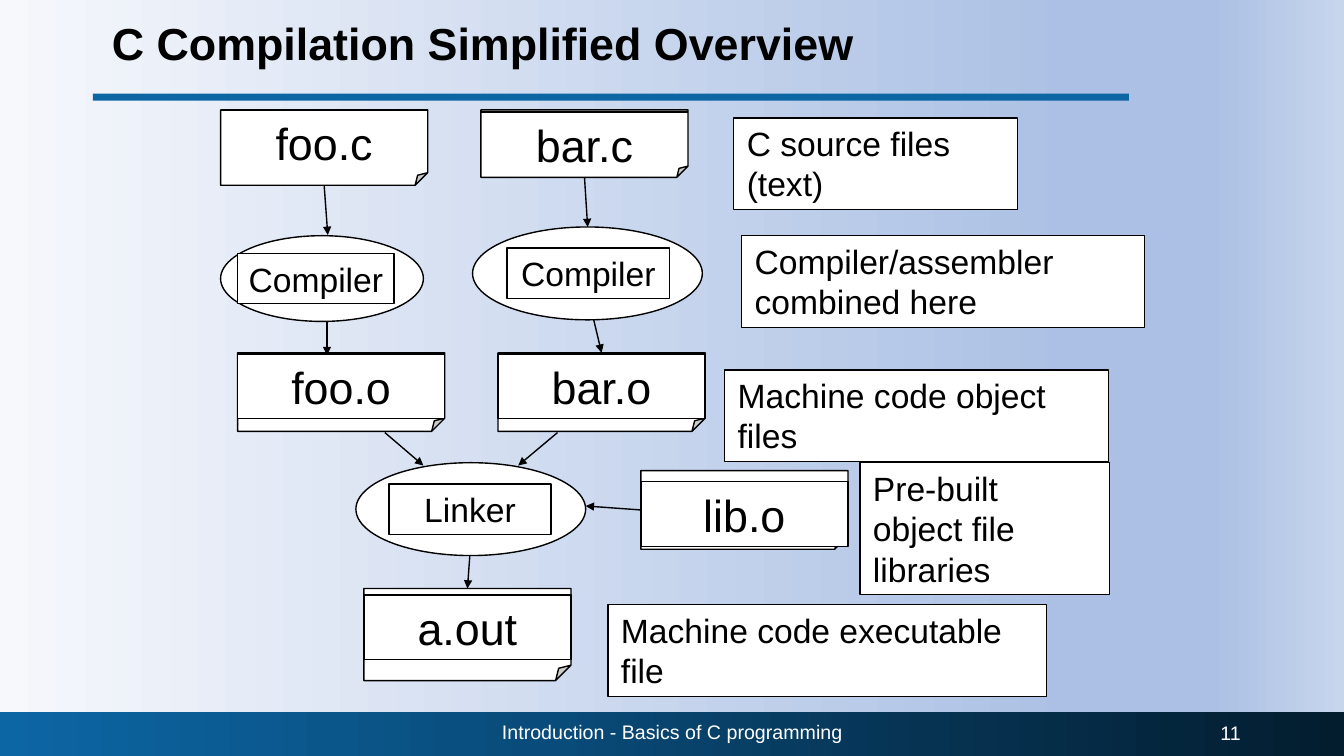
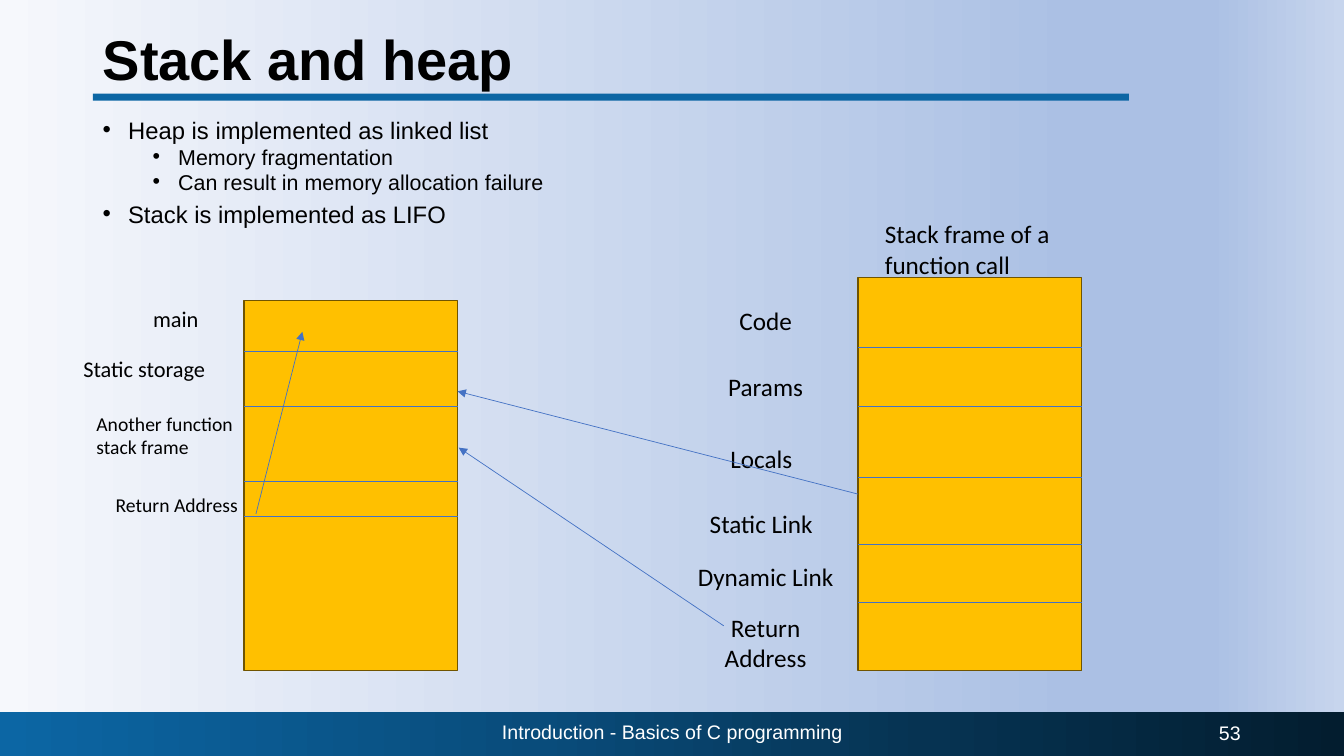
from lxml.etree import SubElement
from pptx import Presentation
from pptx.dml.color import RGBColor
from pptx.enum.shapes import MSO_CONNECTOR, MSO_SHAPE
from pptx.enum.text import MSO_ANCHOR, PP_ALIGN
from pptx.oxml.ns import qn
from pptx.util import Cm, Pt

RECTANGLE, ELLIPSE = MSO_SHAPE.RECTANGLE, MSO_SHAPE.OVAL
DOCUMENT = MSO_SHAPE.FOLDED_CORNER
STRAIGHT = MSO_CONNECTOR.STRAIGHT
LEFT, CENTER, RIGHT = PP_ALIGN.LEFT, PP_ALIGN.CENTER, PP_ALIGN.RIGHT
ANCHOR_TOP, MIDDLE = MSO_ANCHOR.TOP, MSO_ANCHOR.MIDDLE
SIDE_TOP, SIDE_LEFT, SIDE_BOTTOM = 0, 1, 2

BLACK = RGBColor(0x00, 0x00, 0x00)
WHITE = RGBColor(0xFF, 0xFF, 0xFF)
ACCENT = RGBColor(0x0C, 0x66, 0xA4)
AMBER = RGBColor(0xFF, 0xC0, 0x00)
BROWN = RGBColor(0x70, 0x54, 0x00)
BLUE = RGBColor(0x44, 0x72, 0xC4)
PAGE_STOPS = [(0, RGBColor(0xF6, 0xF8, 0xFC)), (80, RGBColor(0xAB, 0xC0, 0xE4)),
              (90, RGBColor(0xAB, 0xC0, 0xE4)), (100, RGBColor(0xC7, 0xD5, 0xED))]
BAND_STOPS = [(0, ACCENT), (40, RGBColor(0x09, 0x4C, 0x7B)),
              (69, RGBColor(0x06, 0x33, 0x52)), (100, RGBColor(0x03, 0x1D, 0x2F))]
HEADING_FONT, LABEL_FONT = "Arial", "Calibri"
DEFAULT_INSETS, SMALL_INSETS = (0.25, 0.13), (0.13, 0.13)
NOTE_INSETS, WIDE_INSETS = (0.33, 0.13), (0.48, 0.25)

# Content: all positions and lengths in centimetres
FOOTER = "Introduction - Basics of C programming"

DOC_WIDTH, DOC_LABEL_HEIGHT, STEP_LABEL_HEIGHT = 5.22, 1.63, 1.27
# name, left, top, height, top of the label, whether the label is framed
DOCUMENTS = [
    ("foo.c", 5.56, 2.77, 1.9, 2.77, False),
    ("bar.c", 12.12, 2.77, 1.7, 2.82, False),
    ("foo.o", 5.99, 8.89, 1.98, 8.92, True),
    ("bar.o", 12.55, 8.89, 1.98, 8.92, True),
    ("lib.o", 16.15, 11.86, 1.98, 12.14, True),
    ("a.out", 9.17, 14.83, 2.32, 14.99, True),
]
# name, ellipse, left and width of the label
STEPS = [
    ("Compiler", (5.56, 5.94, 5.11, 2.16), 5.99, 3.94),
    ("Compiler", (11.91, 5.72, 5.79, 2.34), 12.78, 4.09),
    ("Linker", (8.97, 11.66, 5.79, 2.34), 9.8, 4.09),
]
# each end is a point, or a document and one of its sides
FLOW = [
    (("foo.c", SIDE_BOTTOM), (8.26, 5.92)),
    (("bar.c", SIDE_BOTTOM), (14.81, 5.72)),
    ((8.24, 8.1), (8.24, 8.95)),
    ((14.96, 8.05), ("bar.o", SIDE_TOP)),
    ((9.7, 10.9), (10.67, 11.73)),
    ((14.05, 10.9), (13.06, 11.73)),
    (("lib.o", SIDE_LEFT), (14.76, 12.75)),
    ((11.84, 14), ("a.out", SIDE_TOP)),
]
NOTES = [
    ("C source files (text)", (18.49, 2.97, 7.16, 2.31)),
    ("Machine code object files", (18.26, 9.32, 9.68, 2.31)),
    ("Pre-built object file libraries", (21.67, 11.66, 6.3, 3.33)),
    ("Machine code executable file", (15.32, 15.24, 11.05, 2.31)),
    ("Compiler/assembler combined here", (18.69, 5.94, 10.16, 2.31)),
]

BULLETS = [
    (0, "Heap is implemented as linked list"),
    (1, "Memory fragmentation"),
    (1, "Can result in memory allocation failure"),
    (0, "Stack is implemented as LIFO"),
]
# size, space before, left margin for each bullet level
BULLET_LEVELS = [(17, 10, 0.64), (15.3, 5, 1.9)]
BULLET_HANG = 0.64
# box, heights of its dividers
MEMORY_BLOCKS = [
    ((21.62, 6.99, 5.64, 9.91), [8.76, 10.24, 12.04, 13.72, 15.19]),
    ((6.15, 7.57, 5.38, 9.32), [8.86, 10.24, 12.12, 13]),
]
MEMORY_LABELS = [
    ("Code", (17.2, 7.57, 4.19, 1.02), 18, CENTER),
    ("Params", (17.2, 9.22, 4.19, 1.02), 18, CENTER),
    ("Locals", (17.09, 11.05, 4.19, 1.02), 18, CENTER),
    ("Static Link", (17.09, 12.67, 4.19, 1.02), 18, CENTER),
    ("Dynamic Link", (17.2, 14.02, 4.19, 1.02), 18, CENTER),
    ("Return Address", (17.2, 15.29, 4.19, 1.8), 18, CENTER),
    ("Stack frame of a function call", (22.05, 5.38, 4.8, 1.8), 18, LEFT),
    ("main", (3.61, 7.57, 2.54, 0.94), 16, LEFT),
    ("Static storage", (1.85, 8.81, 4.29, 0.94), 16, LEFT),
    ("Another function stack frame", (2.18, 10.24, 4.29, 1.45), 14, LEFT),
    ("Return Address", (2.36, 12.29, 4.19, 0.86), 14, CENTER),
]
MEMORY_LINKS = [
    ((21.62, 12.45), (11.53, 9.86)),
    ((18.24, 15.77), (11.56, 11.28)),
    ((6.45, 12.95), (7.62, 8.36)),
]


# Drawing helpers
def to_cm(values):
    return [Cm(value) for value in values]


def set_gradient(fill, element, stops):
    fill.gradient()
    fill.gradient_angle = 0
    stop_list = element.find(".//" + qn("a:gsLst"))
    for stop in list(stop_list):
        stop_list.remove(stop)
    for position, color in stops:
        stop = SubElement(stop_list, qn("a:gs"), pos=str(position * 1000))
        SubElement(stop, qn("a:srgbClr"), val=str(color))


def add_box(page, kind, box, fill=WHITE, line=BLACK):
    shape = page.shapes.add_shape(kind, *to_cm(box))
    shape.shadow.inherit = False
    if fill is not None:
        shape.fill.solid()
        shape.fill.fore_color.rgb = fill
    if line is None:
        shape.line.fill.background()
    else:
        shape.line.color.rgb = line
        shape.line.width = Pt(1)
    return shape


def format_run(span, size, font, color, bold=False):
    span.font.size = Pt(size)
    span.font.name = font
    span.font.color.rgb = color
    span.font.bold = bold


def write(shape, text, size, font=HEADING_FONT, color=BLACK, align=LEFT,
          anchor=ANCHOR_TOP, insets=DEFAULT_INSETS, bold=False):
    frame = shape.text_frame
    frame.text = text
    frame.word_wrap = True
    frame.vertical_anchor = anchor
    frame.margin_left = frame.margin_right = Cm(insets[0])
    frame.margin_top = frame.margin_bottom = Cm(insets[1])
    para = frame.paragraphs[0]
    para.alignment = align
    format_run(para.runs[0], size, font, color, bold)
    return para


def add_text(page, text, box, size, **style):
    return write(page.shapes.add_textbox(*to_cm(box)), text, size, **style)


def add_line(page, begin, end, color, width, arrow=False):
    line = page.shapes.add_connector(STRAIGHT, *to_cm(begin + end))
    line.line.color.rgb = color
    line.line.width = Pt(width)
    if arrow:
        SubElement(line.get_or_add_ln(), qn("a:tailEnd"), type="triangle")
    SubElement(line.element.find(qn("p:spPr")), qn("a:effectLst"))
    return line


def add_page(deck, title, title_size, number, title_anchor, title_insets):
    page = deck.slides.add_slide(deck.slide_layouts[6])
    band = add_box(page, RECTANGLE, (0, 17.93, 33.87, 1.12), None, None)
    set_gradient(band.fill, band.element, BAND_STOPS)
    add_box(page, RECTANGLE, (2.34, 2.36, 26.11, 0.18), ACCENT, None)
    heading = add_text(page, title, (2.34, 0.3, 29.21, 2.57), title_size,
                       anchor=title_anchor, insets=title_insets, bold=True)
    heading.line_spacing = 0.9
    add_text(page, FOOTER, (11.23, 17.93, 11.43, 1.02), 14,
             color=WHITE, align=CENTER, anchor=MIDDLE)
    add_text(page, str(number), (23.9, 17.96, 7.62, 1.02), 14,
             color=WHITE, align=RIGHT, anchor=MIDDLE)
    return page


# Compilation flow
def add_document(page, name, left, top, height, label_top, framed):
    sheet = add_box(page, DOCUMENT, (left, top, DOC_WIDTH, height))
    label_box = (left, label_top, DOC_WIDTH, DOC_LABEL_HEIGHT)
    if framed:
        label = add_box(page, RECTANGLE, label_box)
    else:
        add_line(page, (left, label_top), (left + DOC_WIDTH, label_top), BLACK, 1)
        label = page.shapes.add_textbox(*to_cm(label_box))
    write(label, name, 32, align=CENTER, anchor=MIDDLE, insets=SMALL_INSETS)
    return sheet


def add_step(page, name, ellipse, label_left, label_width):
    add_box(page, ELLIPSE, ellipse)
    label_top = ellipse[1] + (ellipse[3] - STEP_LABEL_HEIGHT) / 2
    label = add_box(page, RECTANGLE,
                    (label_left, label_top, label_width, STEP_LABEL_HEIGHT))
    write(label, name, 24, align=CENTER, anchor=MIDDLE, insets=SMALL_INSETS)


def add_flow_arrow(page, sheets, begin, end):
    begin_joined, end_joined = begin[0] in sheets, end[0] in sheets
    arrow = add_line(page, end if begin_joined else begin,
                     begin if end_joined else end, BLACK, 1, arrow=True)
    if begin_joined:
        arrow.begin_connect(sheets[begin[0]], begin[1])
    if end_joined:
        arrow.end_connect(sheets[end[0]], end[1])


def build_compilation(deck):
    page = add_page(deck, "C Compilation Simplified Overview", 32, 11,
                    ANCHOR_TOP, WIDE_INSETS)
    sheets = {document[0]: add_document(page, *document) for document in DOCUMENTS}
    for step in STEPS:
        add_step(page, *step)
    for begin, end in FLOW:
        add_flow_arrow(page, sheets, begin, end)
    for text, box in NOTES:
        write(add_box(page, RECTANGLE, box), text, 24, insets=NOTE_INSETS)


# Memory diagram
def add_bullets(page):
    frame = page.shapes.add_textbox(*to_cm((2.34, 3, 29.21, 3))).text_frame
    frame.word_wrap = True
    frame.text = "\n".join(text for _, text in BULLETS)
    for para, (level, _) in zip(frame.paragraphs, BULLETS):
        size, space, margin = BULLET_LEVELS[level]
        para.level = level
        para.line_spacing = 0.7
        para.space_before = Pt(space)
        format_run(para.runs[0], size, HEADING_FONT, BLACK)
        props = para._p.get_or_add_pPr()
        props.set("marL", str(Cm(margin)))
        props.set("indent", str(-Cm(BULLET_HANG)))
        SubElement(props, qn("a:buFont"), typeface=HEADING_FONT)
        SubElement(props, qn("a:buChar"), char="•")


def build_memory(deck):
    page = add_page(deck, "Stack and heap", 40, 53, MIDDLE, DEFAULT_INSETS)
    add_bullets(page)
    for box, dividers in MEMORY_BLOCKS:
        add_box(page, RECTANGLE, box, AMBER, BROWN)
        for height in dividers:
            add_line(page, (box[0], height), (box[0] + box[2], height), BLUE, 0.5)
    for text, box, size, align in MEMORY_LABELS:
        add_text(page, text, box, size, font=LABEL_FONT, align=align)
    for begin, end in MEMORY_LINKS:
        add_line(page, begin, end, BLUE, 0.5, arrow=True)


def main():
    deck = Presentation()
    deck.slide_width, deck.slide_height = Cm(33.87), Cm(19.05)
    master = deck.slide_master
    set_gradient(master.background.fill, master.element, PAGE_STOPS)
    build_compilation(deck)
    build_memory(deck)
    deck.save("out.pptx")


if __name__ == "__main__":
    main()
